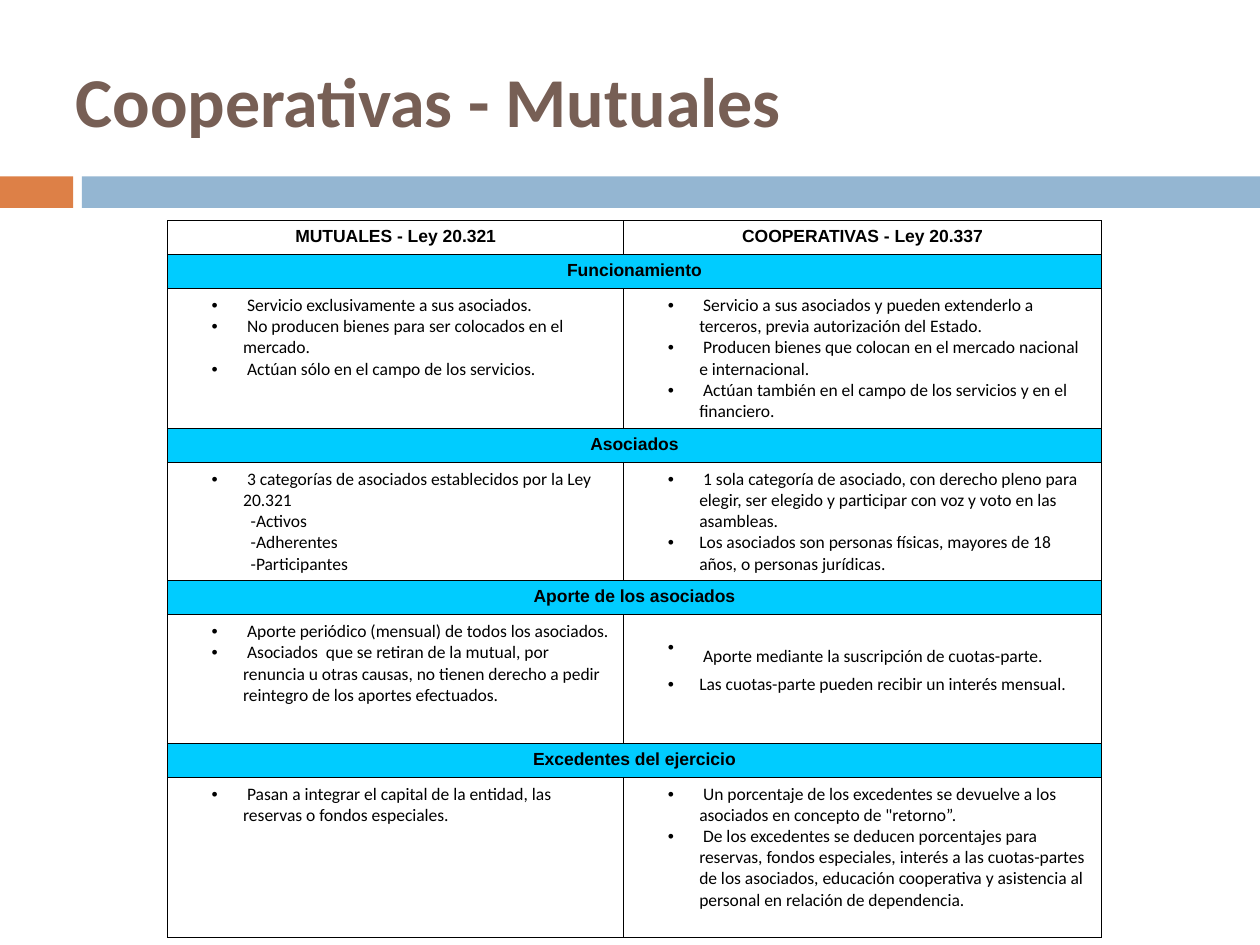
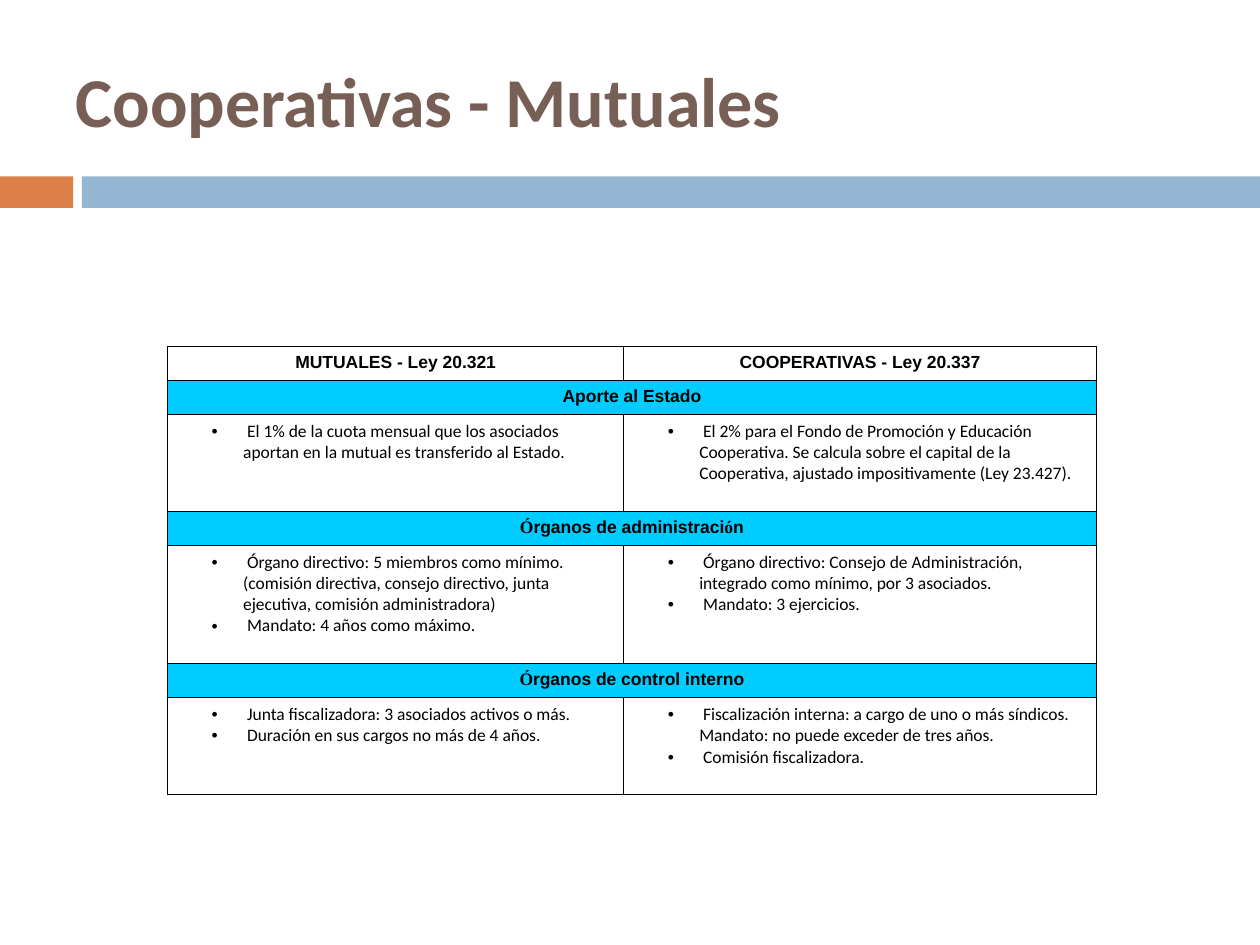
from dataclasses import dataclass
from itertools import groupby

from lxml.etree import SubElement
from pptx import Presentation
from pptx.dml.color import RGBColor
from pptx.enum.shapes import MSO_SHAPE as Shape
from pptx.enum.text import MSO_ANCHOR as Anchor, PP_ALIGN as Align
from pptx.oxml import parse_xml
from pptx.oxml.ns import nsdecls, qn
from pptx.util import Inches, Pt

# Grid of 100 columns by 75 rows
UNIT = Inches(0.1)
COLUMNS, ROWS = 100, 75

ORANGE, BLUE, BROWN = "DD8047", "94B6D2", "775F55"
CYAN, BLACK, WHITE = "00CCFF", "000000", "FFFFFF"
BODY_FONT, HEADING_FONT, ACCENT_FONT = "Calibri", "Arial", "Times New Roman"
TITLE = "Cooperativas - Mutuales"
HEADERS = ("MUTUALES - Ley 20.321", "COOPERATIVAS - Ley 20.337")
TABLE_LEFT, MUTUAL_WIDTH, BAND_HEIGHT = 13.3, 36.2, 2.7
TEXT_INDENT, BULLET_HANG, DASH_SHIFT = 5, 2.5, 0.6


@dataclass(frozen=True)
class Bar:
    left: float
    width: float
    color: str


@dataclass(frozen=True)
class Point:
    text: str
    spacer_size: float = 0  # size of a closing space that makes the line taller


@dataclass(frozen=True)
class Section:
    heading: str
    height: float
    mutuals: tuple[Point, ...]
    cooperatives: tuple[Point, ...]


@dataclass(frozen=True)
class Comparison:
    top: float
    cooperative_width: float
    sections: tuple[Section, ...]


BARS = (Bar(0, 5.8, ORANGE), Bar(6.5, 93.5, BLUE))

COMPARISONS = (
    Comparison(17.5, 37.9, (
        Section("Funcionamiento", 11.1, (
            Point(" Servicio exclusivamente a sus asociados."),
            Point(" No producen bienes para ser colocados en el mercado."),
            Point(" Actúan sólo en el campo de los servicios."),
        ), (
            Point(" Servicio a sus asociados y pueden extenderlo a terceros, "
                  "previa autorización del Estado."),
            Point(" Producen bienes que colocan en el mercado nacional e internacional."),
            Point(" Actúan también en el campo de los servicios y en el financiero."),
        )),
        Section("Asociados", 9.4, (
            Point(" 3 categorías de asociados establecidos por la Ley 20.321"),
            Point("-Activos"),
            Point("-Adherentes"),
            Point("-Participantes"),
        ), (
            Point(" 1 sola categoría de asociado, con derecho pleno para elegir, "
                  "ser elegido y participar con voz y voto en las asambleas."),
            Point("Los asociados son personas físicas, mayores de 18 años, "
                  "o personas jurídicas."),
        )),
        Section("Aporte de los asociados", 10.2, (
            Point(" Aporte periódico (mensual) de todos los asociados."),
            Point(" Asociados  que se retiran de la mutual, por renuncia u otras causas, "
                  "no tienen derecho a pedir reintegro de los aportes efectuados."),
        ), (
            Point(" Aporte mediante la suscripción de cuotas-parte.", spacer_size=25),
            Point("Las cuotas-parte pueden recibir un interés mensual."),
        )),
        Section("Excedentes del ejercicio", 12.75, (
            Point(" Pasan a integrar el capital de la entidad, las reservas "
                  "o fondos especiales."),
        ), (
            Point(" Un porcentaje de los excedentes se devuelve a los asociados "
                  "en concepto de \"retorno”."),
            Point(" De los excedentes se deducen porcentajes para reservas, "
                  "fondos especiales, interés a las cuotas-partes de los asociados, "
                  "educación cooperativa y asistencia al personal en relación "
                  "de dependencia."),
        )),
    )),
    Comparison(27.5, 37.5, (
        Section("Aporte al Estado", 7.7, (
            Point(" El 1% de la cuota mensual que los asociados aportan en la mutual "
                  "es transferido al Estado."),
        ), (
            Point(" El 2% para el Fondo de Promoción y Educación Cooperativa. "
                  "Se calcula sobre el capital de la Cooperativa, "
                  "ajustado impositivamente (Ley 23.427)."),
        )),
        Section("Órganos de administración", 9.4, (
            Point(" Órgano directivo: 5 miembros como mínimo. (comisión directiva, "
                  "consejo directivo, junta ejecutiva, comisión administradora)"),
            Point(" Mandato: 4 años como máximo."),
        ), (
            Point(" Órgano directivo: Consejo de Administración, integrado como mínimo, "
                  "por 3 asociados."),
            Point(" Mandato: 3 ejercicios."),
        )),
        Section("Órganos de control interno", 7.7, (
            Point(" Junta fiscalizadora: 3 asociados activos o más."),
            Point(" Duración en sus cargos no más de 4 años."),
        ), (
            Point(" Fiscalización interna: a cargo de uno o más síndicos. "
                  "Mandato: no puede exceder de tres años."),
            Point(" Comisión fiscalizadora."),
        )),
    )),
)


def grid(count: float) -> int:
    return round(count * UNIT)


def rgb(color: str) -> RGBColor:
    return RGBColor.from_string(color)


def add_span(para, text: str, *, font=BODY_FONT, size=10.0, color=BLACK, bold=False) -> None:
    span = para.add_run()
    span.text = text
    span.font.name = font
    span.font.size = Pt(size)
    span.font.bold = bold
    span.font.color.rgb = rgb(color)


def draw_bar(page, bar: Bar) -> None:
    shape = page.shapes.add_shape(
        Shape.RECTANGLE, grid(bar.left), grid(14), grid(bar.width), grid(2.5))
    shape.shadow.inherit = False
    shape.fill.solid()
    shape.fill.fore_color.rgb = rgb(bar.color)
    shape.line.fill.background()


def draw_title(page) -> None:
    box = page.shapes.add_textbox(grid(5), grid(2.5), grid(90.8), grid(10.8))
    frame = box.text_frame
    frame.word_wrap = True
    frame.vertical_anchor = Anchor.MIDDLE
    add_span(frame.paragraphs[0], TITLE, size=40, color=BROWN, bold=True)


def style_cell(cell, fill: str) -> None:
    """Fill the cell and rule all four sides with a thin black line."""
    cell.fill.solid()
    cell.fill.fore_color.rgb = rgb(fill)
    properties = cell._tc.get_or_add_tcPr()
    for position, side in enumerate("LRTB"):
        properties.insert(position, parse_xml(
            f'<a:ln{side} {nsdecls("a")} w="{Pt(0.45)}"><a:solidFill>'
            f'<a:srgbClr val="{BLACK}"/></a:solidFill></a:ln{side}>'))


def write_heading(cell, text: str) -> None:
    """Centre a bold heading whose accented o takes the accent font."""
    para = cell.text_frame.paragraphs[0]
    para.alignment = Align.CENTER
    for accented, letters in groupby(text, key=lambda letter: letter in "Óó"):
        add_span(para, "".join(letters), bold=True,
                 font=ACCENT_FONT if accented else HEADING_FONT)


def indent_point(para, dashed: bool) -> None:
    properties = para._p.get_or_add_pPr()
    properties.set("marL", str(grid(TEXT_INDENT + (DASH_SHIFT if dashed else 0))))
    properties.set("indent", str(0 if dashed else -grid(BULLET_HANG)))
    if dashed:
        SubElement(properties, qn("a:buNone"))
        return
    color = SubElement(properties, qn("a:buClr"))
    SubElement(color, qn("a:srgbClr"), val=BLACK)
    SubElement(properties, qn("a:buFont"), typeface=HEADING_FONT)
    SubElement(properties, qn("a:buChar"), char="•")


def write_points(cell, points: tuple[Point, ...]) -> None:
    frame = cell.text_frame
    for index, point in enumerate(points):
        para = frame.add_paragraph() if index else frame.paragraphs[0]
        indent_point(para, point.text.startswith("-"))
        add_span(para, point.text)
        if point.spacer_size:
            add_span(para, " ", size=point.spacer_size)


def draw_comparison(page, comparison: Comparison) -> None:
    widths = (MUTUAL_WIDTH, comparison.cooperative_width)
    heights = [BAND_HEIGHT]
    for section in comparison.sections:
        heights += [BAND_HEIGHT, section.height]
    table = page.shapes.add_table(
        len(heights), len(widths), grid(TABLE_LEFT), grid(comparison.top),
        grid(sum(widths)), grid(sum(heights))).table
    table.first_row = table.horz_banding = False
    for column, width in zip(table.columns, widths):
        column.width = grid(width)
    for index, (row, height) in enumerate(zip(table.rows, heights)):
        row.height = grid(height)
        for cell in row.cells:
            style_cell(cell, CYAN if index % 2 else WHITE)

    for column, header in enumerate(HEADERS):
        write_heading(table.cell(0, column), header)
    for index, section in enumerate(comparison.sections):
        band = 1 + 2 * index
        table.cell(band, 0).merge(table.cell(band, 1))
        write_heading(table.cell(band, 0), section.heading)
        write_points(table.cell(band + 1, 0), section.mutuals)
        write_points(table.cell(band + 1, 1), section.cooperatives)


def main() -> None:
    deck = Presentation()
    deck.slide_width, deck.slide_height = grid(COLUMNS), grid(ROWS)
    for comparison in COMPARISONS:
        page = deck.slides.add_slide(deck.slide_layouts[6])
        for bar in BARS:
            draw_bar(page, bar)
        draw_title(page)
        draw_comparison(page, comparison)
    deck.save("out.pptx")


if __name__ == "__main__":
    main()
